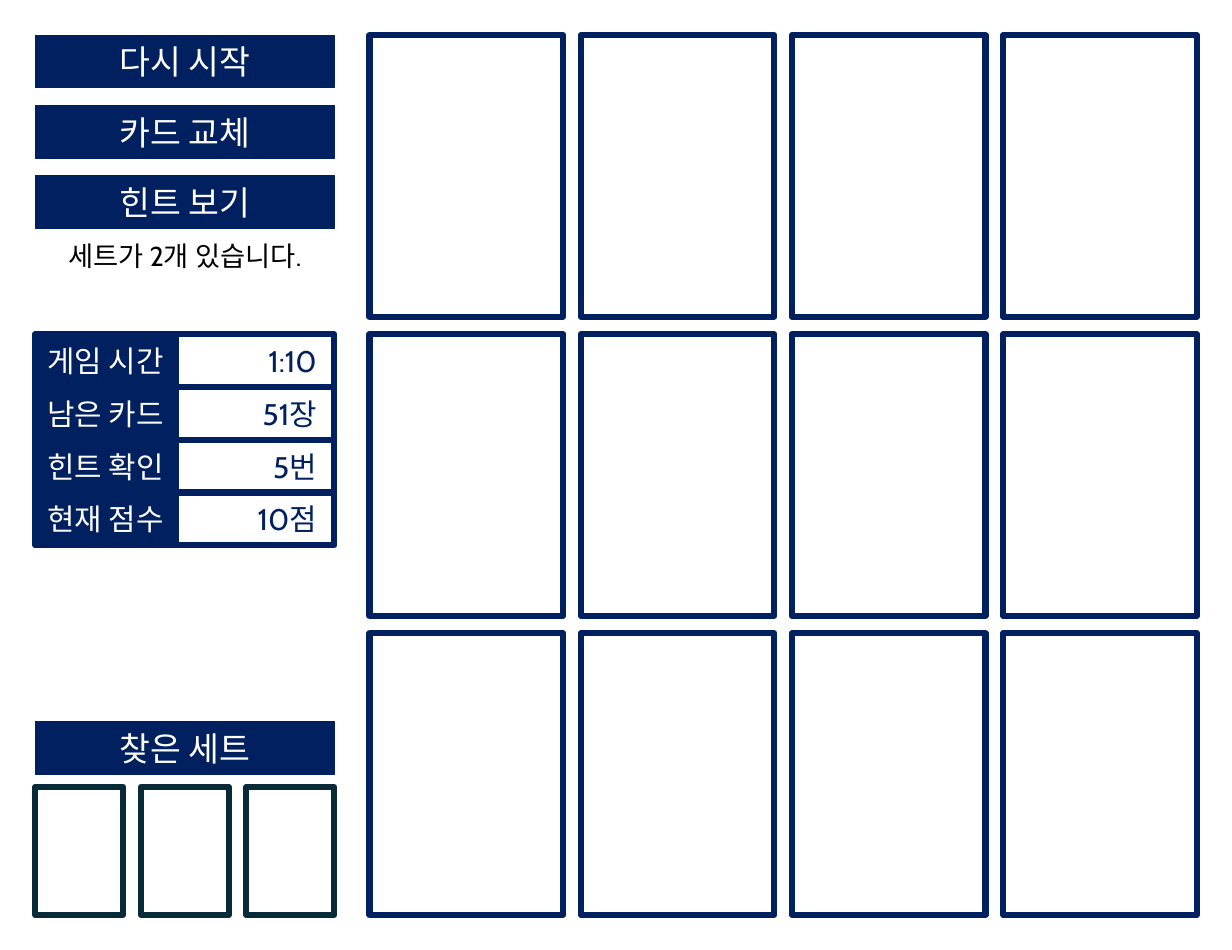
from dataclasses import dataclass
from typing import Optional

from pptx import Presentation
from pptx.dml.color import RGBColor
from pptx.enum.shapes import MSO_SHAPE as Preset
from pptx.enum.text import MSO_ANCHOR as Anchor, MSO_AUTO_SIZE as AutoSize, PP_ALIGN as Align
from pptx.shapes.autoshape import Shape
from pptx.shapes.shapetree import _BaseGroupShapes as ShapeTree
from pptx.text.text import TextFrame
from pptx.util import Cm, Pt

NAVY = RGBColor(0x00, 0x20, 0x60)
TEAL = RGBColor(0x09, 0x2A, 0x39)
WHITE = RGBColor(0xFF, 0xFF, 0xFF)
BLACK = RGBColor(0x00, 0x00, 0x00)
FONT = "Cabin"
MARGIN = 2
THICK = 10


@dataclass(frozen=True)
class Label:
    text: str
    size: float
    color: RGBColor
    align: Align = Align.CENTER


@dataclass(frozen=True)
class Box:
    left: float
    top: float
    width: float
    height: float
    fill: RGBColor = WHITE
    line: RGBColor = NAVY
    line_width: float = THICK
    label: Optional[Label] = None


@dataclass(frozen=True)
class Button:
    text: str
    top: float


@dataclass(frozen=True)
class Stat:
    name: str
    value: str


BUTTONS = [
    Button("다시 시작", 2),
    Button("카드 교체", 6),
    Button("힌트 보기", 10),
    Button("찾은 세트", 41),
]
STATS = [
    Stat("게임 시간", "1:10"),
    Stat("남은 카드", "51장"),
    Stat("힌트 확인", "5번"),
    Stat("현재 점수", "10점"),
]


def write(frame: TextFrame, label: Label) -> None:
    frame.text = label.text
    paragraph = frame.paragraphs[0]
    paragraph.alignment = label.align
    font = paragraph.runs[0].font
    font.name = FONT
    font.size = Pt(label.size)
    font.color.rgb = label.color


def draw_box(shapes: ShapeTree, box: Box) -> Shape:
    rect = shapes.add_shape(
        Preset.RECTANGLE, Cm(box.left), Cm(box.top), Cm(box.width), Cm(box.height)
    )
    rect.shadow.inherit = False
    rect.fill.solid()
    rect.fill.fore_color.rgb = box.fill
    rect.line.color.rgb = box.line
    rect.line.width = Pt(box.line_width)
    if box.label:
        rect.text_frame.vertical_anchor = Anchor.MIDDLE
        write(rect.text_frame, box.label)
    return rect


def draw_button(shapes: ShapeTree, button: Button) -> None:
    label = Label(button.text, 54, WHITE)
    draw_box(shapes, Box(MARGIN, button.top, 17, 3, NAVY, line_width=1.5, label=label))


def draw_stat(shapes: ShapeTree, stat: Stat, top: float) -> None:
    row = shapes.add_group_shape().shapes
    name = Label(stat.name, 48, WHITE)
    draw_box(row, Box(MARGIN, top, 8, 3, NAVY, label=name))
    value = Label(stat.value, 48, NAVY, Align.RIGHT)
    value_cell = draw_box(row, Box(MARGIN + 8, top, 9, 3, label=value))
    value_cell.text_frame.margin_right = Cm(1)


def draw_set_count(shapes: ShapeTree) -> None:
    set_count = shapes.add_textbox(Cm(3), Cm(13.5), Cm(15), Cm(2.13)).text_frame
    set_count.word_wrap = False
    set_count.auto_size = AutoSize.SHAPE_TO_FIT_TEXT
    write(set_count, Label("세트가 2개 있습니다.", 44, BLACK))


def main() -> None:
    deck = Presentation()
    deck.slide_width, deck.slide_height = Cm(70), Cm(54)
    shapes = deck.slides.add_slide(deck.slide_layouts[6]).shapes

    for row in range(3):
        for column in range(4):
            draw_box(shapes, Box(21 + 12 * column, MARGIN + 17 * row, 11, 16))
    for button in BUTTONS:
        draw_button(shapes, button)
    for column in range(3):
        draw_box(shapes, Box(MARGIN + 6 * column, 44.73, 5, 7.27, line=TEAL))
    draw_set_count(shapes)
    for row, stat in enumerate(STATS):
        draw_stat(shapes, stat, 19 + 3 * row)

    deck.save("out.pptx")


if __name__ == "__main__":
    main()
